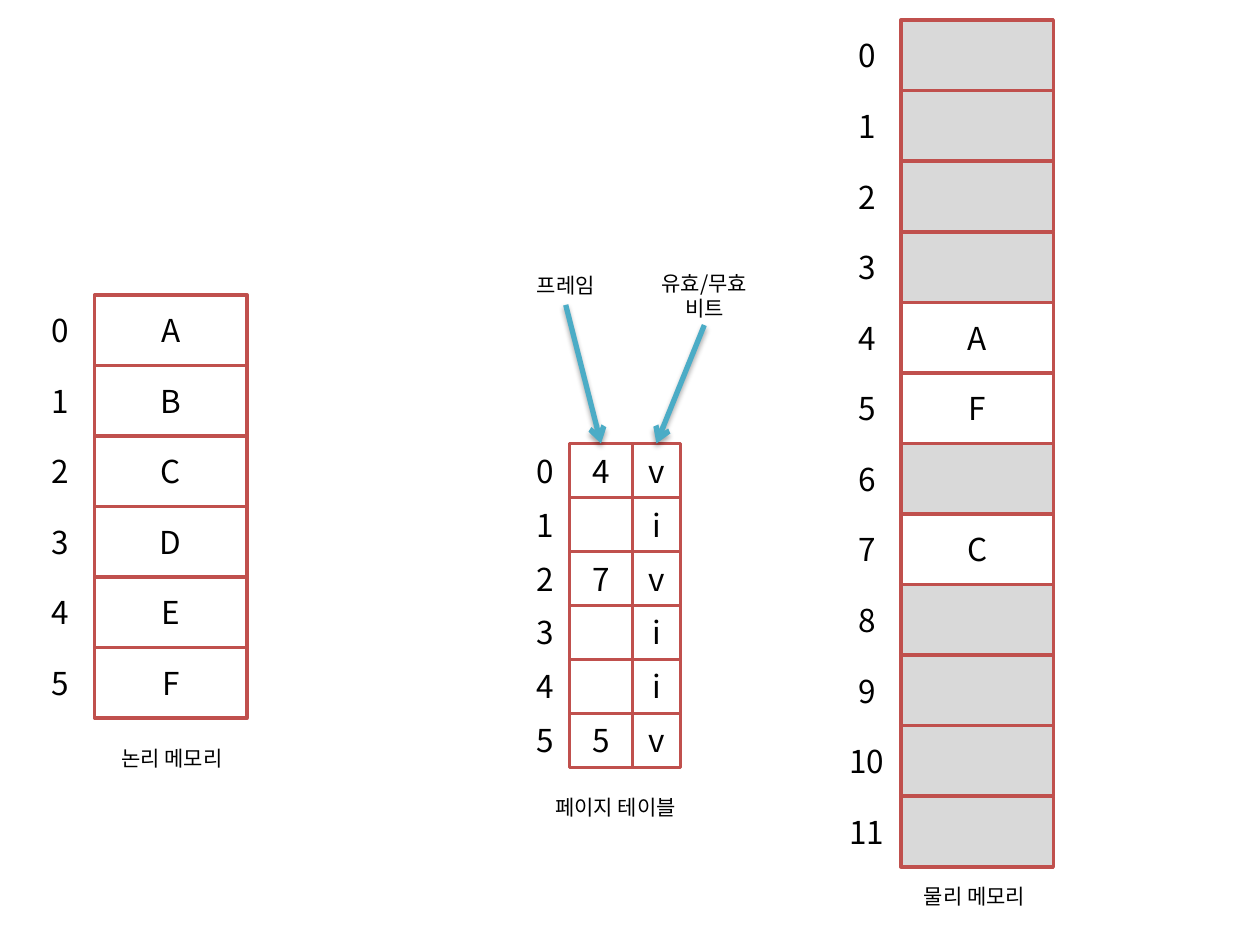
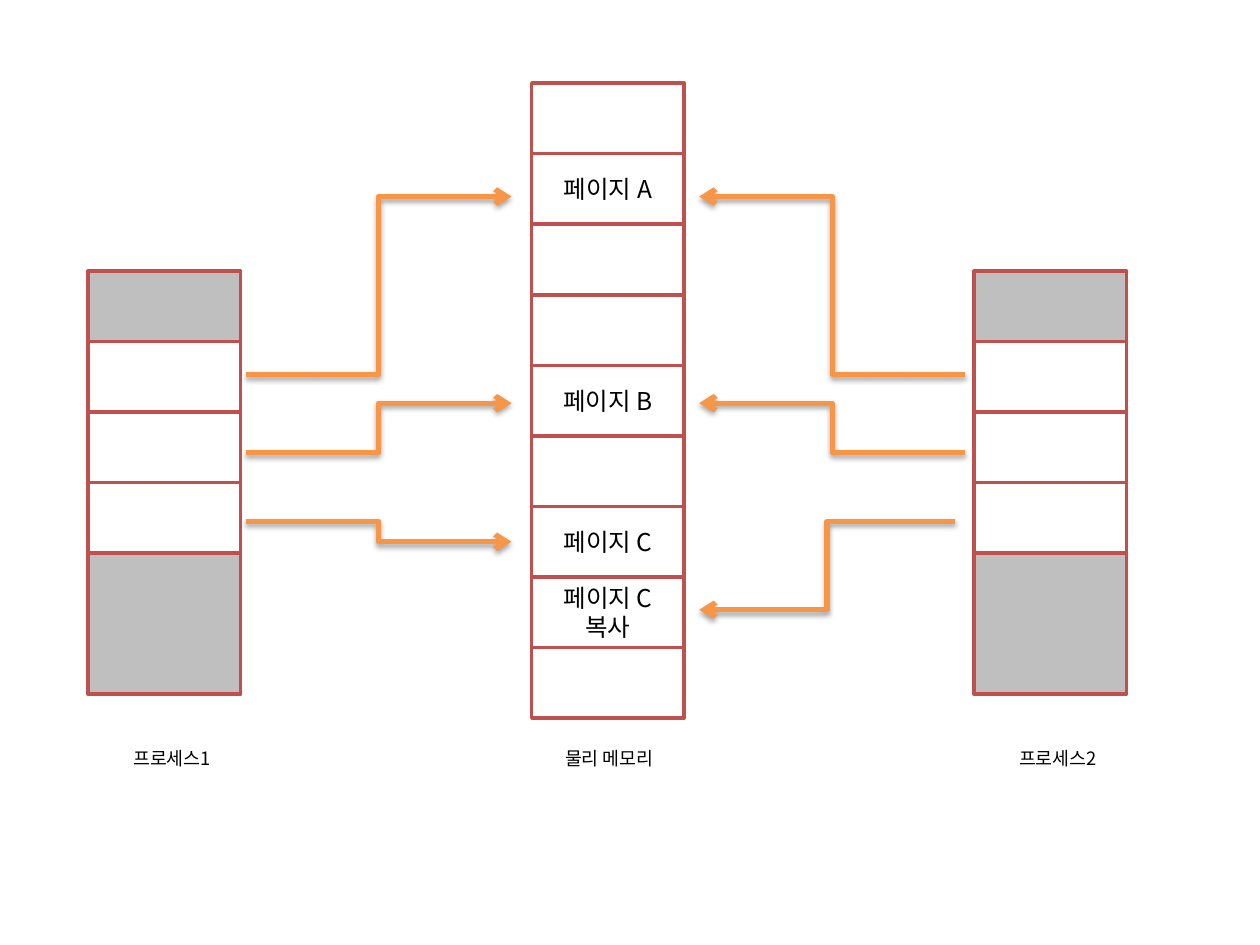
import pptx
import pptx.util
import pptx.dml.color
import pptx.enum.shapes
import pptx.enum.text
import pptx.oxml
import pptx.oxml.ns

Inches = pptx.util.Inches
Pt = pptx.util.Pt
RGBColor = pptx.dml.color.RGBColor

FONT = "Noto Sans CJK KR"
BLACK = RGBColor(0x00, 0x00, 0x00)
WHITE = RGBColor(0xFF, 0xFF, 0xFF)
RED = RGBColor(0xC0, 0x50, 0x4D)
TEAL = RGBColor(0x4B, 0xAC, 0xC6)
ORANGE = RGBColor(0xF7, 0x96, 0x46)
LIGHT_GRAY = RGBColor(0xD9, 0xD9, 0xD9)
GRAY = RGBColor(0xBF, 0xBF, 0xBF)

STRAIGHT = pptx.enum.shapes.MSO_CONNECTOR.STRAIGHT
ELBOW = pptx.enum.shapes.MSO_CONNECTOR.ELBOW
ROW_HEIGHT = 0.56
MEMORY_WIDTH = 1.21
CAPTION_WIDTH = 1.17
CAPTION_HEIGHT = 0.47
ARROW_SHADOW = (
    f'<a:effectLst {pptx.oxml.ns.nsdecls("a")}>'
    f'<a:outerShdw blurRad="{Pt(3.1)}" dist="{Pt(1.8)}" dir="5400000" rotWithShape="0">'
    '<a:srgbClr val="000000"><a:alpha val="35000"/></a:srgbClr>'
    '</a:outerShdw></a:effectLst>'
)


def write_text(shape, text, size=18, side_margin=0.1):
    frame = shape.text_frame
    frame.word_wrap = True
    frame.vertical_anchor = pptx.enum.text.MSO_ANCHOR.MIDDLE
    frame.margin_left = frame.margin_right = Inches(side_margin)
    paragraph = frame.paragraphs[0]
    paragraph.alignment = pptx.enum.text.PP_ALIGN.CENTER
    run = paragraph.add_run()
    run.text = text
    run.font.size = Pt(size)
    run.font.color.rgb = BLACK
    run.font.name = FONT
    east_asian = pptx.oxml.parse_xml(
        f'<a:ea {pptx.oxml.ns.nsdecls("a")} typeface="{FONT}"/>')
    run.font._element.append(east_asian)


def add_label(slide, box, text, **text_format):
    shape = slide.shapes.add_textbox(*map(Inches, box))
    write_text(shape, text, **text_format)


def add_cell(slide, box, text="", fill=WHITE, line=RED, **text_format):
    shape = slide.shapes.add_shape(
        pptx.enum.shapes.MSO_SHAPE.RECTANGLE, *map(Inches, box))
    shape.shadow.inherit = False
    shape.fill.solid()
    shape.fill.fore_color.rgb = fill
    shape.line.color.rgb = line
    shape.line.width = Pt(2)
    if text:
        write_text(shape, text, **text_format)


def add_arrow(slide, kind, start, end, color):
    connector = slide.shapes.add_connector(kind, *map(Inches, (*start, *end)))
    connector.line.color.rgb = color
    connector.line.width = Pt(3)
    connector.line._get_or_add_ln().append(pptx.oxml.parse_xml(
        f'<a:tailEnd {pptx.oxml.ns.nsdecls("a")} type="arrow"/>'))
    connector._element.spPr.append(pptx.oxml.parse_xml(ARROW_SHADOW))


def split_rows(box, weights):
    """Divide a box into stacked rows with heights in proportion to weights."""
    left, top, width, height = box
    unit = height / sum(weights)
    for index, weight in enumerate(weights):
        yield left, top + unit * sum(weights[:index]), width, unit * weight


def add_column(slide, box, texts, empty_fill=WHITE, **cell_format):
    for row, text in zip(split_rows(box, [1] * len(texts)), texts):
        add_cell(slide, row, text, fill=WHITE if text else empty_fill, **cell_format)


def add_numbered_memory(slide, left, top, texts, empty_fill=WHITE):
    height = ROW_HEIGHT * len(texts)
    add_column(slide, (left - 0.51, top, 0.48, height),
               [str(number) for number in range(len(texts))],
               line=WHITE, side_margin=0)
    add_column(slide, (left, top, MEMORY_WIDTH, height), texts, empty_fill)


def add_caption(slide, left, top, text, size=12, width=CAPTION_WIDTH):
    add_label(slide, (left, top, width, CAPTION_HEIGHT), text, size=size)


def add_page_table(slide, left, top):
    height, index_width, frame_width, bit_width = 2.57, 0.38, 0.5, 0.38
    frame_left = left + index_width
    bit_left = frame_left + frame_width
    frames = ["4", "", "7", "", "", "5"]
    add_column(slide, (frame_left, top, frame_width, height), frames)
    add_column(slide, (bit_left, top, bit_width, height),
               ["v" if frame else "i" for frame in frames])
    index_box = (left, top, index_width, height)
    for number, row in enumerate(split_rows(index_box, [1] * len(frames))):
        add_label(slide, row, str(number))

    header_top = top - 1.41
    add_label(slide, (left, header_top, 0.7, 0.31), "프레임", size=12)
    add_label(slide, (left + 0.94, header_top, 1.02, 0.47), "유효/무효 비트", size=12)
    add_arrow(slide, STRAIGHT, (left + 0.35, header_top + 0.31),
              (frame_left + frame_width / 2, top), TEAL)
    add_arrow(slide, STRAIGHT, (left + 1.45, header_top + 0.47),
              (bit_left + bit_width / 2, top), TEAL)
    add_caption(slide, left + 0.08, top + 2.65, "페이지 테이블", width=1.33)


def add_process(slide, left, top):
    weights = [1, 1, 1, 1, 2]
    fills = [GRAY, WHITE, WHITE, WHITE, GRAY]
    box = (left, top, MEMORY_WIDTH, ROW_HEIGHT * sum(weights))
    for row, fill in zip(split_rows(box, weights), fills):
        add_cell(slide, row, fill=fill)


def build_valid_bit_slide(slide):
    add_page_table(slide, 4.14, 3.52)
    add_numbered_memory(slide, 7.15, 0.16,
                        ["", "", "", "", "A", "F", "", "C", "", "", "", ""], LIGHT_GRAY)
    add_numbered_memory(slide, 0.75, 2.34, list("ABCDEF"))
    add_caption(slide, 0.78, 5.78, "논리 메모리")
    add_caption(slide, 7.15, 6.88, "물리 메모리")


def build_copy_on_write_slide(slide):
    add_process(slide, 7.73, 2.15)
    pages = ["", "페이지 A", "", "", "페이지 B", "", "페이지 C", "페이지 C 복사", ""]
    add_column(slide, (4.22, 0.66, MEMORY_WIDTH, ROW_HEIGHT * len(pages)), pages, size=14)
    add_process(slide, 0.7, 2.15)

    # Process edge x, memory edge x, and (process y, memory y) for each arrow
    for start_x, end_x, start_y, end_y in [
        (1.95, 4.06, 2.97, 1.56),
        (1.95, 4.06, 3.59, 3.2),
        (1.95, 4.06, 4.14, 4.3),
        (7.66, 5.55, 2.97, 1.56),
        (7.66, 5.55, 3.59, 3.2),
        (7.58, 5.55, 4.14, 4.84),
    ]:
        add_arrow(slide, ELBOW, (start_x, start_y), (end_x, end_y), ORANGE)

    for left, text in [(0.78, "프로세스1"), (4.25, "물리 메모리"), (7.81, "프로세스2")]:
        add_caption(slide, left, 5.78, text, size=10.5)


def main():
    presentation = pptx.Presentation()
    presentation.slide_width = Inches(10)
    presentation.slide_height = Inches(7.5)
    blank_layout = presentation.slide_layouts[6]
    for build_slide in (build_valid_bit_slide, build_copy_on_write_slide):
        build_slide(presentation.slides.add_slide(blank_layout))
    presentation.save("out.pptx")


if __name__ == "__main__":
    main()
